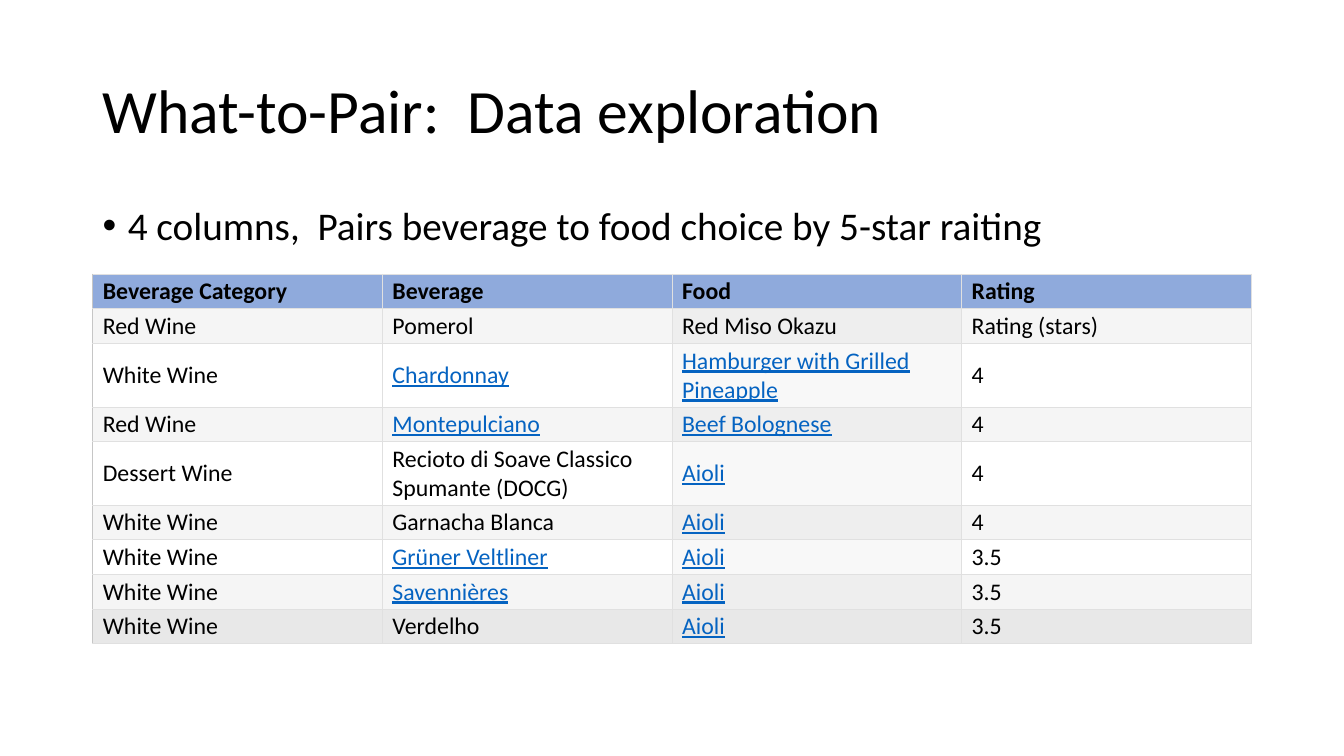
"""Build the What-to-Pair data exploration slide with its beverage and food table."""
import lxml.etree
import pptx
import pptx.dml.color
import pptx.enum.text
import pptx.oxml.ns
import pptx.util

BLACK = pptx.dml.color.RGBColor(0x00, 0x00, 0x00)
LINK_BLUE = pptx.dml.color.RGBColor(0x05, 0x63, 0xC1)
HEADER_BLUE = pptx.dml.color.RGBColor(0x8F, 0xAA, 0xDC)
WHITE = pptx.dml.color.RGBColor(0xFF, 0xFF, 0xFF)
BAND_GREY = pptx.dml.color.RGBColor(0xF5, 0xF5, 0xF5)
FOOD_LIGHT = pptx.dml.color.RGBColor(0xF8, 0xF8, 0xF8)
FOOD_BAND = pptx.dml.color.RGBColor(0xEE, 0xEE, 0xEE)
LAST_ROW_GREY = pptx.dml.color.RGBColor(0xE8, 0xE8, 0xE8)
GRID_GREY = pptx.dml.color.RGBColor(0xE0, 0xE0, 0xE0)
LEFT_EDGE_GREY = pptx.dml.color.RGBColor(0xC6, 0xC6, 0xC6)

PAIRINGS = [
    ("Beverage Category", "Beverage", "Food", "Rating"),
    ("Red Wine", "Pomerol", "Red Miso Okazu", "Rating (stars)"),
    ("White Wine", "Chardonnay", "Hamburger with Grilled Pineapple", "4"),
    ("Red Wine", "Montepulciano", "Beef Bolognese", "4"),
    ("Dessert Wine", "Recioto di Soave Classico Spumante (DOCG)", "Aioli", "4"),
    ("White Wine", "Garnacha Blanca", "Aioli", "4"),
    ("White Wine", "Grüner Veltliner", "Aioli", "3.5"),
    ("White Wine", "Savennières", "Aioli", "3.5"),
    ("White Wine", "Verdelho", "Aioli", "3.5"),
]
LINKED = {
    "Chardonnay", "Montepulciano", "Grüner Veltliner", "Savennières",
    "Hamburger with Grilled Pineapple", "Beef Bolognese", "Aioli",
}
TALL_ROWS = {2, 4}
FOOD_COLUMN = 2

presentation = pptx.Presentation()
presentation.slide_width = pptx.util.Inches(13.33)
presentation.slide_height = pptx.util.Inches(7.5)
slide = presentation.slides.add_slide(presentation.slide_layouts[6])

percent_wide = presentation.slide_width / 100
percent_high = presentation.slide_height / 100
left = int(6.9 * percent_wide)
content_width = presentation.slide_width - 2 * left
column_width = content_width // len(PAIRINGS[0])
row_height = int(4.53 * percent_high)
tall_row_height = int(8.4 * percent_high)


def add_run(paragraph, text, size, color=BLACK):
    run = paragraph.add_run()
    run.text = text
    run.font.name = "Calibri"
    run.font.size = pptx.util.Pt(size)
    run.font.color.rgb = color
    return run


def add_text_line(top, height, anchor, text, size):
    box = slide.shapes.add_textbox(
        left, int(top * percent_high), content_width, int(height * percent_high))
    box.text_frame.word_wrap = True
    box.text_frame.vertical_anchor = anchor
    paragraph = box.text_frame.paragraphs[0]
    paragraph.line_spacing = 0.9
    add_run(paragraph, text, size)
    return paragraph


add_text_line(5.33, 19.33, pptx.enum.text.MSO_ANCHOR.MIDDLE,
              "What-to-Pair:  Data exploration", 44)
bullet_line = add_text_line(26.67, 19.33, pptx.enum.text.MSO_ANCHOR.TOP,
                            "4 columns,  Pairs beverage to food choice by 5-star raiting", 28)
bullet_line.space_before = pptx.util.Pt(10)
bullet_properties = bullet_line._p.get_or_add_pPr()
indent = pptx.util.Inches(0.25)
bullet_properties.set("marL", str(indent))
bullet_properties.set("indent", str(-indent))
bullet_font = lxml.etree.SubElement(bullet_properties, pptx.oxml.ns.qn("a:buFont"))
bullet_font.set("typeface", "Arial")
bullet = lxml.etree.SubElement(bullet_properties, pptx.oxml.ns.qn("a:buChar"))
bullet.set("char", "•")

row_heights = [tall_row_height if row in TALL_ROWS else row_height
               for row in range(len(PAIRINGS))]
table = slide.shapes.add_table(
    len(PAIRINGS), len(PAIRINGS[0]), left, int(36.27 * percent_high),
    content_width, sum(row_heights)).table
table.first_row = False
table.horz_banding = False
for column in table.columns:
    column.width = column_width

for row, pairing in enumerate(PAIRINGS):
    table.rows[row].height = row_heights[row]
    is_header = row == 0
    is_band = row % 2 == 1
    for column, text in enumerate(pairing):
        cell = table.cell(row, column)
        cell.vertical_anchor = pptx.enum.text.MSO_ANCHOR.MIDDLE
        cell.margin_left = cell.margin_right = pptx.util.Inches(0.1)
        cell.margin_top = cell.margin_bottom = pptx.util.Inches(0.03)

        for side in ("L", "R", "T", "B"):
            border_color = LEFT_EDGE_GREY if side == "L" and column == 0 else GRID_GREY
            border = lxml.etree.SubElement(
                cell._tc.get_or_add_tcPr(), pptx.oxml.ns.qn("a:ln" + side))
            border.set("w", str(pptx.util.Pt(0.75)))
            border_fill = lxml.etree.SubElement(border, pptx.oxml.ns.qn("a:solidFill"))
            border_rgb = lxml.etree.SubElement(border_fill, pptx.oxml.ns.qn("a:srgbClr"))
            border_rgb.set("val", str(border_color))

        if is_header:
            fill_color = HEADER_BLUE
        elif row == len(PAIRINGS) - 1:
            fill_color = LAST_ROW_GREY
        elif column == FOOD_COLUMN:
            fill_color = FOOD_BAND if is_band else FOOD_LIGHT
        else:
            fill_color = BAND_GREY if is_band else WHITE
        cell.fill.solid()
        cell.fill.fore_color.rgb = fill_color

        is_linked = text in LINKED
        run = add_run(cell.text_frame.paragraphs[0], text, 17,
                      LINK_BLUE if is_linked else BLACK)
        run.font.bold = is_header
        run.font.underline = is_linked

presentation.save("out.pptx")
